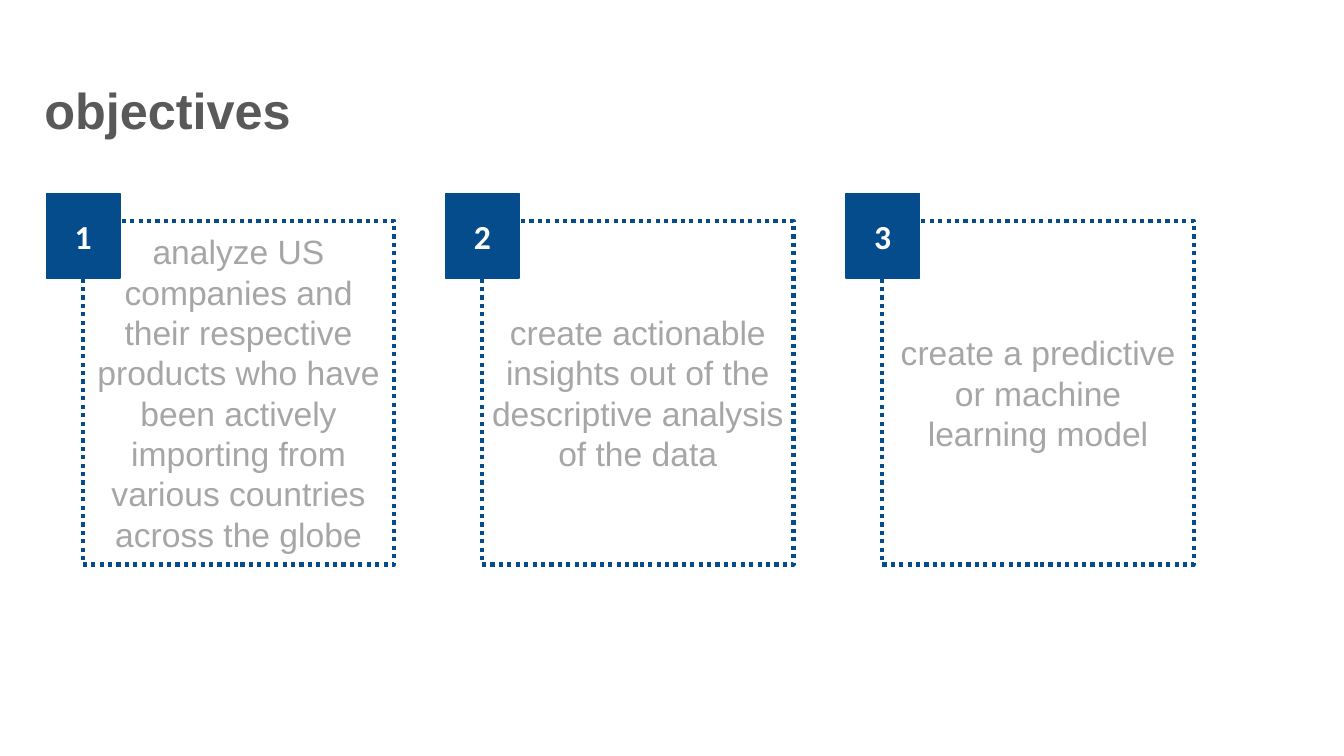
from dataclasses import dataclass

from pptx import Presentation
from pptx import util as u
from pptx.dml.color import RGBColor
from pptx.enum import dml, shapes, text

BLUE = "044C8C"
LEFT, STEP = 0.46, 3.965


@dataclass
class Goal:
    num: int
    words: str


@dataclass
class Style:
    face: str
    size: int
    hue: str
    bold: bool = False


GOALS = [
    Goal(1, "analyze US companies and their respective products who have "
            "been actively importing from various countries across the globe"),
    Goal(2, "create actionable insights out of the descriptive analysis of the data"),
    Goal(3, "create a predictive or machine learning model"),
]
HEAD = Style("Arial", 36, "595959", True)
BODY = Style("Arial", 24, "A6A6A6")
MARK = Style("Calibri", 24, "FFFFFF", True)


def paint(target, hue: str) -> None:
    target.rgb = RGBColor.from_string(hue)


def write(shape, words: str, style: Style, align, anchor) -> None:
    frame = shape.text_frame
    frame.text = words
    frame.word_wrap = True
    frame.auto_size = text.MSO_AUTO_SIZE.NONE
    frame.vertical_anchor = anchor
    para = frame.paragraphs[0]
    para.alignment = align
    font = para.runs[0].font
    font.name = style.face
    font.size = u.Pt(style.size)
    font.bold = style.bold
    paint(font.color, style.hue)


def box(slide, left: float, top: float, width: float, height: float,
        line: float, words: str, style: Style):
    shape = slide.shapes.add_shape(
        shapes.MSO_SHAPE.RECTANGLE,
        *map(u.Inches, (left, top, width, height)))
    shape.shadow.inherit = False
    shape.line.width = u.Pt(line)
    paint(shape.line.color, BLUE)
    write(shape, words, style, text.PP_ALIGN.CENTER, text.MSO_ANCHOR.MIDDLE)
    return shape


def frame(slide, left: float, goal: Goal) -> None:
    shape = box(slide, left + 0.36, 2.19, 3.09, 3.41, 3, goal.words, BODY)
    shape.fill.background()
    shape.line.dash_style = dml.MSO_LINE.ROUND_DOT


def badge(slide, left: float, goal: Goal) -> None:
    shape = box(slide, left, 1.92, 0.73, 0.84, 1, str(goal.num), MARK)
    shape.fill.solid()
    paint(shape.fill.fore_color, BLUE)


def title(slide, words: str) -> None:
    shape = slide.shapes.title
    shape.left, shape.top = u.Inches(0.34), u.Inches(0.75)
    shape.width, shape.height = u.Inches(12.1), u.Inches(0.69)
    write(shape, words, HEAD, text.PP_ALIGN.LEFT, text.MSO_ANCHOR.BOTTOM)
    shape.text_frame.paragraphs[0].line_spacing = 0.9


def main() -> None:
    deck = Presentation()
    deck.slide_width, deck.slide_height = u.Inches(13.33), u.Inches(7.5)
    slide = deck.slides.add_slide(deck.slide_layouts.get_by_name("Title Only"))
    title(slide, "objectives")
    for draw in (frame, badge):
        for spot, goal in enumerate(GOALS):
            draw(slide, round(LEFT + spot * STEP, 2), goal)
    deck.save("out.pptx")


if __name__ == "__main__":
    main()
